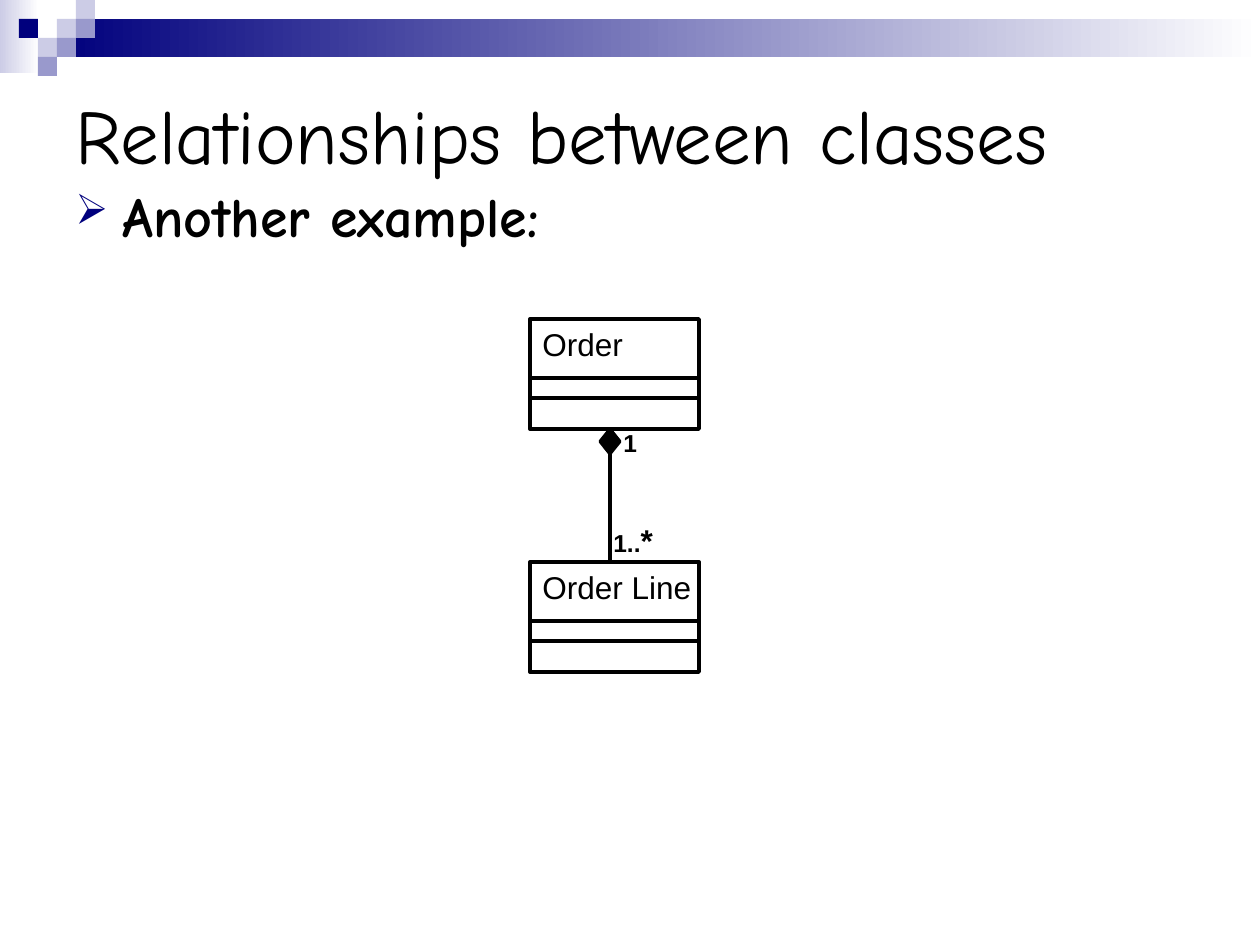
"""Build a slide showing a composition between two UML classes."""
from dataclasses import dataclass

from lxml.etree import SubElement
from pptx import Presentation
from pptx.dml.color import RGBColor
from pptx.enum.shapes import MSO_CONNECTOR, MSO_SHAPE
from pptx.enum.text import MSO_ANCHOR, PP_ALIGN
from pptx.oxml.ns import qn
from pptx.util import Pt


@dataclass(frozen=True)
class Theme:
    navy: str = "00007D"
    mid: str = "9999CC"
    pale: str = "CCCCE6"
    white: str = "FFFFFF"
    black: str = "000000"
    head: str = "Comic Neue"
    body: str = "Arial"
    title: int = 44
    lead: int = 32
    name: int = 18
    label: int = 14
    line: float = 2.25
    edge: float = 1.75


THEME = Theme()
TITLE = "Relationships between classes"
LEAD = "Another example:"
CLASSES = [("Order", 319), ("Order Line", 562)]
LABELS = [
    ((601, 515, 89, 50), [("1..", THEME.label), ("*", THEME.name)]),
    ((611, 422, 89, 43), [("1", THEME.label)]),
]
BANDS = [((0, 0, 39, 73), THEME.pale), ((57, 19, 1203, 38), THEME.navy)]
TILES = [
    (3, 1, THEME.pale), (4, 0, THEME.pale), (4, 1, THEME.mid),
    (2, 2, THEME.pale), (1, 1, THEME.navy), (3, 2, THEME.mid),
    (2, 3, THEME.mid),
]
TILE = 19
LEFT, WIDE, HIGH = 530, 169, 110
RULES = (59, 79)
DIAMOND = (600, 429, 20, 25)


def px(num):
    return round(num * 914400 / 126)


def rgb(code):
    return RGBColor.from_string(code)


def style(font, face, size, bold=False):
    font.name, font.size, font.bold = face, Pt(size), bold
    font.color.rgb = rgb(THEME.black)


def shape(slide, kind, box, fill=None, line=None):
    item = slide.shapes.add_shape(kind, *map(px, box))
    item.shadow.inherit = False
    if fill:
        item.fill.solid()
        item.fill.fore_color.rgb = rgb(fill)
    else:
        item.fill.background()
    if line:
        item.line.color.rgb = rgb(THEME.black)
        item.line.width = Pt(line)
    else:
        item.line.fill.background()
    return item


def band(slide, box, start):
    fill = shape(slide, MSO_SHAPE.RECTANGLE, box).fill
    fill.gradient()
    fill.gradient_angle = 0
    for stop, code in zip(fill.gradient_stops, (start, THEME.white)):
        stop.color.rgb = rgb(code)


def rule(slide, *ends):
    item = slide.shapes.add_connector(MSO_CONNECTOR.STRAIGHT, *map(px, ends))
    item.line.color.rgb = rgb(THEME.black)
    item.line.width = Pt(THEME.line)
    SubElement(item._element.spPr, qn("a:effectLst"))
    return item


def text(slide, box):
    frame = slide.shapes.add_textbox(*map(px, box)).text_frame
    frame.word_wrap = True
    return frame.paragraphs[0]


def bullet(para):
    props = para._p.get_or_add_pPr()
    props.set("marL", str(px(47)))
    props.set("indent", str(px(-47)))
    color = SubElement(props, qn("a:buClr"))
    SubElement(color, qn("a:srgbClr"), val=THEME.navy)
    SubElement(props, qn("a:buSzPct"), val="75000")
    SubElement(props, qn("a:buChar"), char="➢")


def heading(slide):
    title = slide.shapes.title
    title.left, title.top, title.width, title.height = map(px, (63, 63, 1134, 141))
    frame = title.text_frame
    frame.text = TITLE
    frame.vertical_anchor = MSO_ANCHOR.MIDDLE
    para = frame.paragraphs[0]
    para.alignment = PP_ALIGN.LEFT
    style(para.font, THEME.head, THEME.title)
    lead = text(slide, (63, 175, 1134, 129))
    lead.text = LEAD
    bullet(lead)
    style(lead.font, THEME.head, THEME.lead, True)


def entity(slide, name, top):
    para = text(slide, (LEFT, top, WIDE + 10, 50))
    para.text = name
    style(para.font, THEME.body, THEME.name)
    shape(slide, MSO_SHAPE.RECTANGLE, (LEFT, top, WIDE, HIGH), line=THEME.line)
    for gap in RULES:
        rule(slide, LEFT, top + gap, LEFT + WIDE, top + gap)


def link(slide):
    left, top, wide, high = DIAMOND
    mark = shape(slide, MSO_SHAPE.DIAMOND, DIAMOND, THEME.black, THEME.edge)
    mid = left + wide // 2
    rule(slide, mid, top + high, mid, CLASSES[1][1]).begin_connect(mark, 2)
    for box, parts in LABELS:
        para = text(slide, box)
        for words, size in parts:
            run = para.add_run()
            run.text = words
            style(run.font, THEME.body, size, True)


def main():
    deck = Presentation()
    deck.slide_width, deck.slide_height = px(1260), px(945)
    slide = deck.slides.add_slide(deck.slide_layouts[5])
    for box, start in BANDS:
        band(slide, box, start)
    for col, row, fill in TILES:
        box = (col * TILE, row * TILE, TILE, TILE)
        shape(slide, MSO_SHAPE.RECTANGLE, box, fill)
    heading(slide)
    for name, top in CLASSES:
        entity(slide, name, top)
    link(slide)
    deck.save("out.pptx")


if __name__ == "__main__":
    main()
